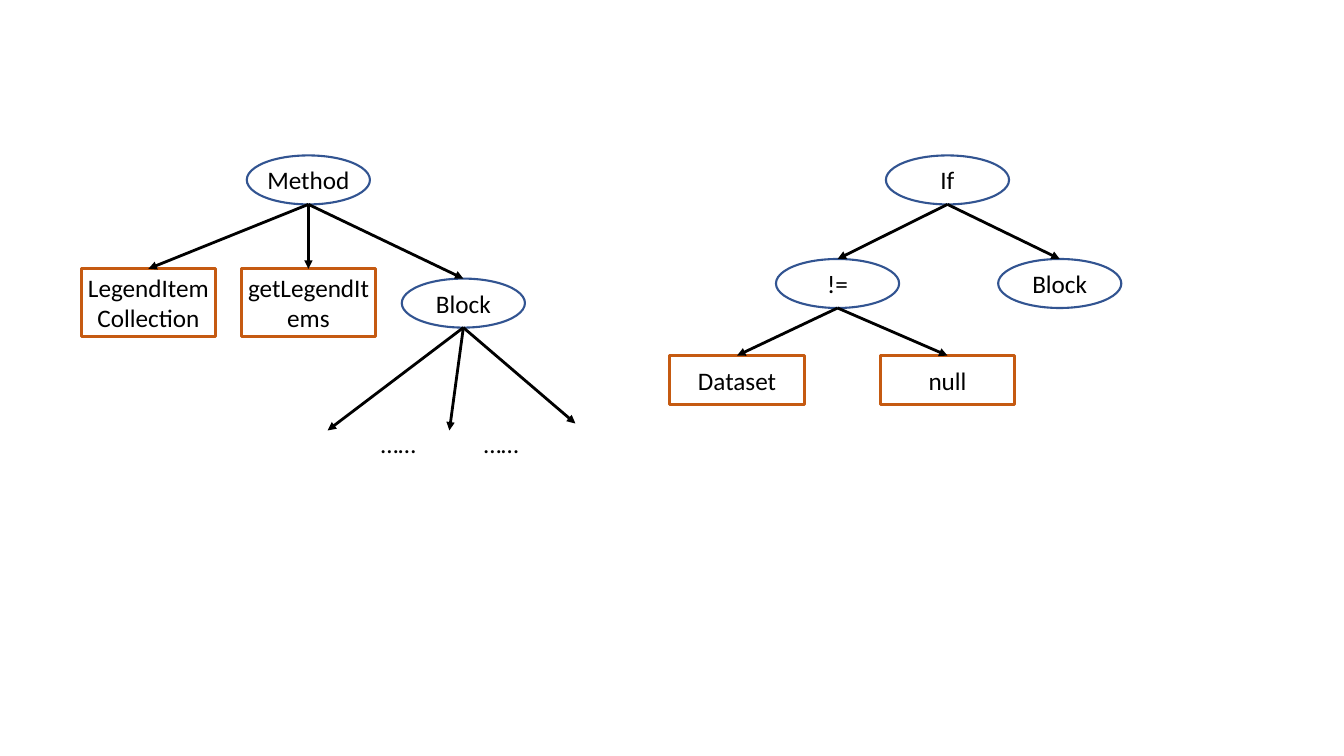
from lxml import etree
from pptx import Presentation
from pptx.dml.color import RGBColor
from pptx.enum.shapes import MSO_CONNECTOR as CONN, MSO_SHAPE as SHAPE
from pptx.enum.text import MSO_ANCHOR as ANCHOR, PP_ALIGN as ALIGN
from pptx.oxml.ns import qn
from pptx.util import Pt

COLORS = {"ellipse": "325491", "rect": "C55A11", "ink": "000000"}
FONT, SIZE = "Calibri", 18
KINDS = {"ellipse": (SHAPE.OVAL, 88, 1.5), "rect": (SHAPE.RECTANGLE, 96, 2)}
ROW_H, TALL_H = 35, 48.5

# Nodes: key -> (text, kind, centre x, top, height)
# Edges: parent key -> child keys, or (x, y) for an arrow to an open end
TREES = [
    {
        "nodes": {
            "method": ("Method", "ellipse", 220.3, 111, ROW_H),
            "type": ("LegendItemCollection", "rect", 106, 192, TALL_H),
            "name": ("getLegendItems", "rect", 220.3, 192, TALL_H),
            "body": ("Block", "ellipse", 331, 199, ROW_H),
        },
        "edges": {
            "method": ["type", "name", "body"],
            "body": [(234, 307.5), (321, 307.5), (411, 302.5)],
        },
        "dots": ("……\t……", 265, 302.5, 214, 29, 73.5),
    },
    {
        "nodes": {
            "if": ("If", "ellipse", 676.8, 111, ROW_H),
            "test": ("!=", "ellipse", 598.3, 185, ROW_H),
            "left": ("Dataset", "rect", 526.5, 254, ROW_H),
            "right": ("null", "rect", 676.8, 254, ROW_H),
            "then": ("Block", "ellipse", 757, 185, ROW_H),
        },
        "edges": {"if": ["test", "then"], "test": ["left", "right"]},
    },
]


def rgb(name):
    return RGBColor.from_string(COLORS[name])


def write(p, text):
    r = p.add_run()
    r.text = text
    r.font.name, r.font.size = FONT, Pt(SIZE)
    r.font.color.rgb = rgb("ink")


def add_node(shapes, text, kind, cx, top, height):
    preset, width, line_w = KINDS[kind]
    s = shapes.add_shape(preset, Pt(cx - width / 2), Pt(top), Pt(width), Pt(height))
    s.shadow.inherit = False
    s.fill.background()
    s.line.color.rgb, s.line.width = rgb(kind), Pt(line_w)
    tf = s.text_frame
    tf.word_wrap, tf.vertical_anchor = True, ANCHOR.MIDDLE
    tf.margin_left = tf.margin_right = tf.margin_top = tf.margin_bottom = Pt(1.44)
    p = tf.paragraphs[0]
    p.alignment = ALIGN.CENTER
    write(p, text)
    return s


def add_arrow(shapes, parent, end):
    x, y = parent.left + parent.width // 2, parent.top + parent.height
    to_point = isinstance(end, tuple)
    x2, y2 = (Pt(v) for v in end) if to_point else (x, y)
    c = shapes.add_connector(CONN.STRAIGHT, x, y, x2, y2)
    if not to_point:
        c.end_connect(end, 0)
    c.line.color.rgb, c.line.width = rgb("ink"), Pt(2)
    etree.SubElement(c.line._get_or_add_ln(), qn("a:tailEnd"), type="triangle")
    etree.SubElement(c._element.spPr, qn("a:effectLst"))


def add_dots(shapes, text, left, top, width, height, tab):
    tf = shapes.add_textbox(Pt(left), Pt(top), Pt(width), Pt(height)).text_frame
    tf.word_wrap = True
    p = tf.paragraphs[0]
    tabs = etree.SubElement(p._p.get_or_add_pPr(), qn("a:tabLst"))
    etree.SubElement(tabs, qn("a:tab"), pos=str(Pt(tab)), algn="l")
    write(p, text)


prs = Presentation()
prs.slide_width, prs.slide_height = Pt(960), Pt(540)
slide = prs.slides.add_slide(prs.slide_layouts[6])

# One group per syntax tree
for tree in TREES:
    shapes = slide.shapes.add_group_shape().shapes
    nodes = {key: add_node(shapes, *spec) for key, spec in tree["nodes"].items()}
    for parent, ends in tree["edges"].items():
        for end in ends:
            add_arrow(shapes, nodes[parent], nodes.get(end, end))
    if "dots" in tree:
        add_dots(shapes, *tree["dots"])

prs.save("out.pptx")
